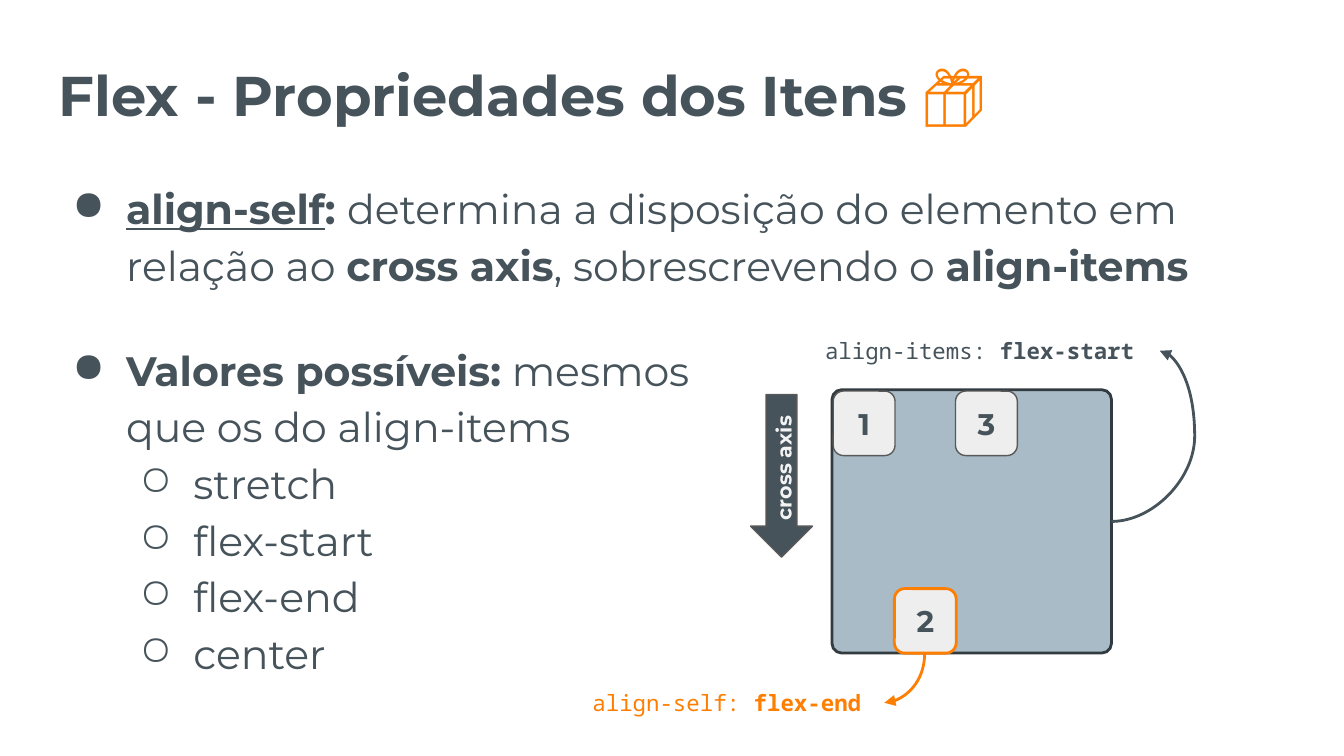
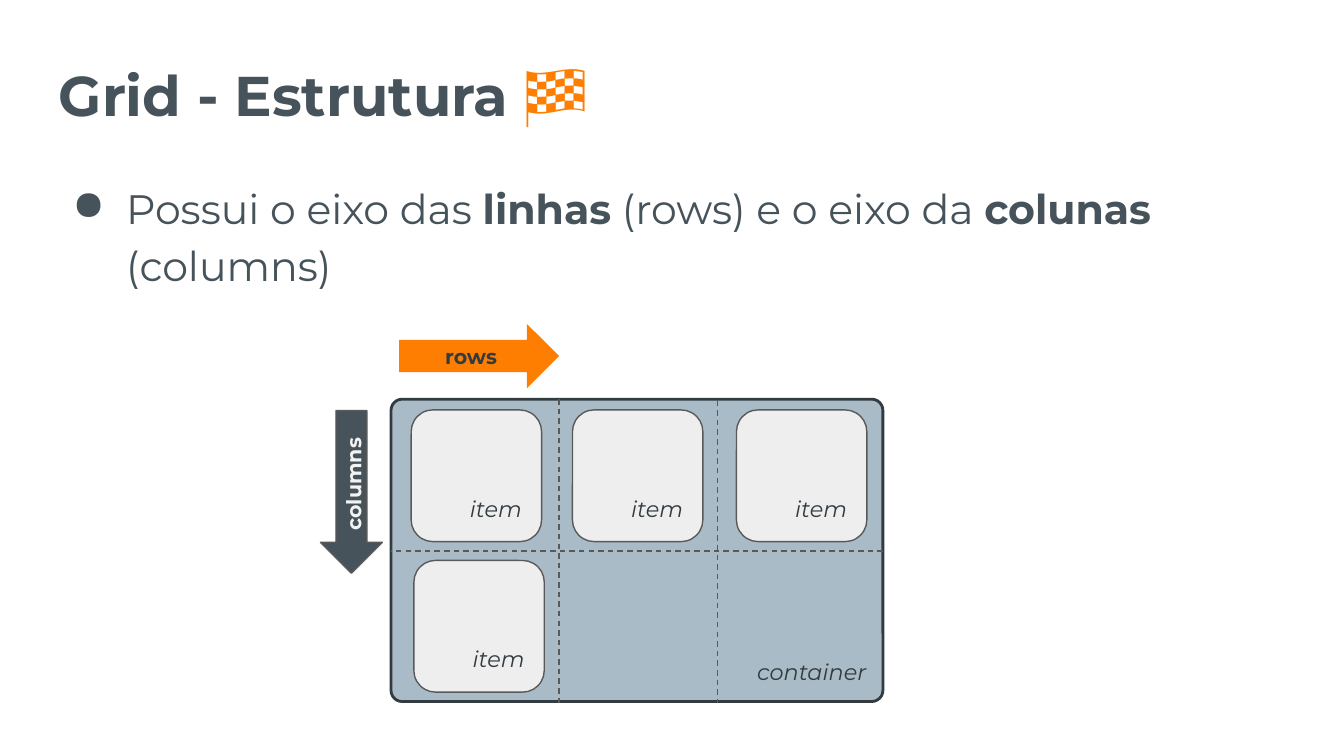
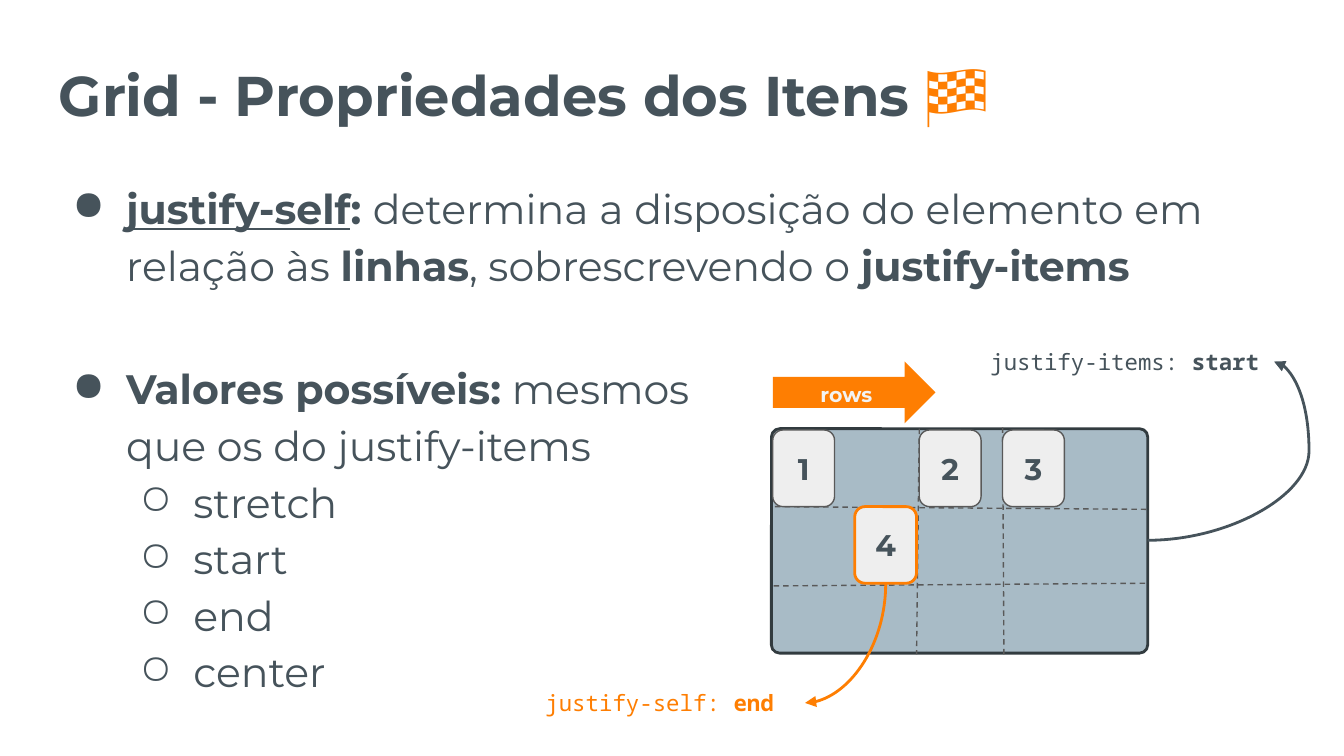
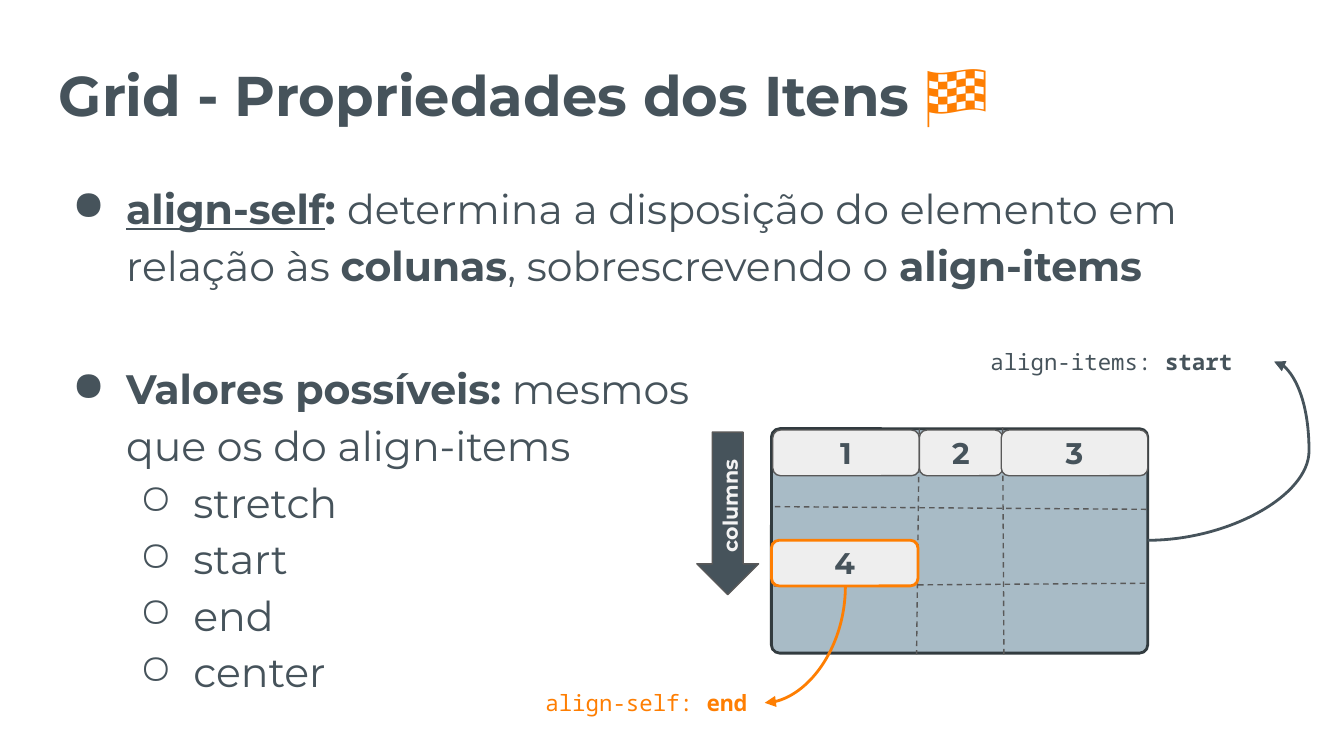
from dataclasses import dataclass
from typing import NamedTuple

from lxml import etree
from pptx import Presentation
from pptx.dml.color import RGBColor
from pptx.enum import dml, shapes, text
from pptx.oxml import ns
from pptx.util import Emu, Inches, Pt


@dataclass(frozen=True)
class Theme:
    slate: str = "46535B"
    ink: str = "323B3F"
    orange: str = "FE7E02"
    steel: str = "A8BBC6"
    light: str = "EEEEEE"
    pale: str = "F3F3F3"
    gray: str = "595959"
    sans: str = "Montserrat"
    mono: str = "Noto Sans Mono"
    icon_font: str = "Roboto"
    title_size: float = 30
    icon_size: float = 34
    body_size: float = 22
    number_size: float = 16
    label_size: float = 12
    arrow_size: float = 11
    thin: float = 0.75
    thick: float = 1.5
    leading: float = 1.15


THEME = Theme()
SLIDE_WIDTH = Inches(10)
SLIDE_HEIGHT = Inches(5.625)
COLUMNS = 100
CELL = SLIDE_WIDTH / COLUMNS
SHAPE = shapes.MSO_SHAPE
CENTER = text.PP_ALIGN.CENTER
RIGHT = text.PP_ALIGN.RIGHT
MIDDLE = text.MSO_ANCHOR.MIDDLE
BOTTOM = text.MSO_ANCHOR.BOTTOM
TOP = text.MSO_ANCHOR.TOP


class Point(NamedTuple):
    column: float
    row: float


class Area(NamedTuple):
    left: float
    top: float
    width: float
    height: float


class Span(NamedTuple):
    content: str
    bold: bool = False
    underline: bool = False


@dataclass(frozen=True)
class Bullet:
    spans: tuple
    level: int = 0
    before: float = 0


@dataclass(frozen=True)
class Item:
    label: str
    area: Area
    chosen: bool = False


def cells(*counts: float) -> list:
    return [Emu(round(count * CELL)) for count in counts]


def rgb(color: str) -> RGBColor:
    return RGBColor.from_string(color)


def add_span(para, content: str, *, size: float, color: str = THEME.slate,
             font: str = THEME.sans, bold: bool = False,
             italic: bool = False, underline: bool = False) -> None:
    for index, line in enumerate(content.split("\n")):
        if index:
            para.add_line_break()
        span = para.add_run()
        span.text = line
        span.font.size = Pt(size)
        span.font.name = font
        span.font.color.rgb = rgb(color)
        span.font.bold = bold
        span.font.italic = italic
        span.font.underline = underline


def prepare_frame(box, anchor=TOP):
    frame = box.text_frame
    frame.word_wrap = True
    frame.vertical_anchor = anchor
    frame.margin_left = frame.margin_right = Inches(0.1)
    frame.margin_top = frame.margin_bottom = Inches(0.1)
    return frame


def add_text_box(page, area: Area, anchor=TOP):
    return prepare_frame(page.shapes.add_textbox(*cells(*area)), anchor)


def add_title(page, title: str, icon: str, icon_font: str, icon_bold: bool) -> None:
    para = add_text_box(page, Area(3.4, 1.4, 85.7, 10.7), MIDDLE).paragraphs[0]
    add_span(para, title + " ", size=THEME.title_size, bold=True)
    add_span(para, icon, size=THEME.icon_size, color=THEME.orange,
             font=icon_font, bold=icon_bold)


def set_bullet(para, level: int) -> None:
    properties = para._p.get_or_add_pPr()
    properties.set("marL", str(Inches(0.5 * (level + 1))))
    properties.set("indent", str(Inches(-0.4)))
    tint = etree.SubElement(properties, ns.qn("a:buClr"))
    etree.SubElement(tint, ns.qn("a:srgbClr")).set("val", THEME.slate)
    etree.SubElement(properties, ns.qn("a:buChar")).set("char", "●○"[level])


def add_bullets(page, area: Area, bullets: list) -> None:
    frame = add_text_box(page, area)
    for index, bullet in enumerate(bullets):
        para = frame.add_paragraph() if index else frame.paragraphs[0]
        para.level = bullet.level
        para.line_spacing = THEME.leading
        para.space_before = Pt(bullet.before)
        para.space_after = Pt(0)
        set_bullet(para, bullet.level)
        for part in bullet.spans:
            add_span(para, part.content, size=THEME.body_size,
                     bold=part.bold, underline=part.underline)


def property_bullets(name: str, relation: str, axis: str, inherited: str,
                     values: list, gap: float) -> list:
    return [
        Bullet((Span(name, True, True), Span(": ", True),
                Span(f"determina a disposição do elemento em relação {relation} "),
                Span(axis, True), Span(", sobrescrevendo o "),
                Span(inherited, True))),
        Bullet((Span("Valores possíveis:", True),
                Span(f" mesmos \nque os do {inherited}")), before=gap),
        *[Bullet((Span(value),), level=1) for value in values],
    ]


def add_box(page, kind, area: Area, fill: str, line: str | None = None,
            weight: float = THEME.thin):
    box = page.shapes.add_shape(kind, *cells(*area))
    box.shadow.inherit = False
    box.fill.solid()
    box.fill.fore_color.rgb = rgb(fill)
    if line:
        box.line.color.rgb = rgb(line)
        box.line.width = Pt(weight)
    else:
        box.line.fill.background()
    return box


def add_label(box, label: str, anchor, align, **style) -> None:
    para = prepare_frame(box, anchor).paragraphs[0]
    para.alignment = align
    add_span(para, label, **style)


def add_corner_label(box, label: str) -> None:
    add_label(box, label, BOTTOM, RIGHT, size=THEME.label_size,
              color=THEME.ink, italic=True)


def add_container(page, area: Area):
    box = add_box(page, SHAPE.ROUNDED_RECTANGLE, area, THEME.steel,
                  THEME.ink, THEME.thick)
    box.adjustments[0] = 0.037
    return box


def add_items(page, items: list) -> None:
    for item in items:
        line, weight = ((THEME.orange, THEME.thick) if item.chosen
                        else (THEME.gray, THEME.thin))
        box = add_box(page, SHAPE.ROUNDED_RECTANGLE, item.area,
                      THEME.light, line, weight)
        add_label(box, item.label, MIDDLE, CENTER,
                  size=THEME.number_size, bold=True)


def add_down_arrow(page, label: str, area: Area) -> None:
    box = add_box(page, SHAPE.LEFT_ARROW, area, THEME.slate, THEME.gray)
    box.rotation = 270
    add_label(box, label, MIDDLE, CENTER, size=THEME.arrow_size,
              color=THEME.pale, bold=True)
    box.text_frame.paragraphs[0].line_spacing = THEME.leading


def add_rows_arrow(page, area: Area, color: str, spacing: float = 1) -> None:
    box = add_box(page, SHAPE.RIGHT_ARROW, area, THEME.orange)
    add_label(box, "rows", MIDDLE, CENTER, size=THEME.arrow_size,
              color=color, bold=True)
    box.text_frame.paragraphs[0].line_spacing = spacing


def add_line(page, kind, start: Point, end: Point, color: str, weight: float):
    line = page.shapes.add_connector(kind, *cells(*start, *end))
    line.line.color.rgb = rgb(color)
    line.line.width = Pt(weight)
    return line


def drop_shadow(line) -> None:
    etree.SubElement(line._element.spPr, ns.qn("a:effectLst"))


def add_dashes(page, segments: list) -> None:
    for start, end in segments:
        line = add_line(page, shapes.MSO_CONNECTOR.STRAIGHT, start, end,
                        THEME.gray, THEME.thin)
        line.line.dash_style = dml.MSO_LINE.DASH
        drop_shadow(line)


def add_curve(page, corner: Point, opposite: Point, color: str, preset: str,
              degrees: int):
    curve = add_line(page, shapes.MSO_CONNECTOR.CURVE, corner, opposite,
                     color, THEME.thick)
    tip = etree.SubElement(curve.line._get_or_add_ln(), ns.qn("a:tailEnd"))
    tip.set("type", "triangle")
    drop_shadow(curve)
    properties = curve._element.spPr
    properties.find(ns.qn("a:prstGeom")).set("prst", preset)
    properties.find(ns.qn("a:xfrm")).set("rot", str(degrees * 60000))
    return curve


def add_quarter_curve(page, start: Point, end: Point) -> None:
    middle = Point((start.column + end.column) / 2, (start.row + end.row) / 2)
    half_width = (end.row - start.row) / 2
    half_height = (start.column - end.column) / 2
    add_curve(page, Point(middle.column - half_width, middle.row - half_height),
              Point(middle.column + half_width, middle.row + half_height),
              THEME.orange, "curvedConnector2", 90)


def add_loop_curve(page, start: Point, end: Point, bulge: float) -> None:
    curve = add_curve(page, Point(start.column, end.row),
                      Point(end.column, start.row),
                      THEME.slate, "curvedConnector3", 180)
    properties = curve._element.spPr
    properties.find(ns.qn("a:xfrm")).set("flipH", "1")
    geometry = properties.find(ns.qn("a:prstGeom"))
    guides = geometry.find(ns.qn("a:avLst"))
    if guides is None:
        guides = etree.SubElement(geometry, ns.qn("a:avLst"))
    share = (bulge - start.column) / (end.column - start.column)
    guide = etree.SubElement(guides, ns.qn("a:gd"))
    guide.set("name", "adj1")
    guide.set("fmla", f"val {round(share * 100000)}")


def add_code(page, name: str, value: str, area: Area, color: str) -> None:
    para = add_text_box(page, area).paragraphs[0]
    style = dict(size=THEME.label_size, font=THEME.mono, color=color)
    add_span(para, f"{name}: ", **style)
    add_span(para, value, bold=True, **style)


def add_grid_title(page, title: str) -> None:
    add_title(page, title, "🏁", THEME.sans, True)


def build_flex_align_self(page) -> None:
    add_bullets(page, Area(3.4, 12.1, 89.2, 39.8), property_bullets(
        "align-self", "ao", "cross axis", "align-items",
        ["stretch", "flex-start", "flex-end", "center"], 26))
    add_title(page, "Flex - Propriedades dos Itens", "📦", THEME.icon_font, False)
    add_container(page, Area(61.9, 29, 20.8, 19.6))
    add_items(page, [
        Item(str(number + 1),
             Area(62 + 4.55 * number, 43.8 if number == 1 else 29.1, 4.6, 4.8),
             number == 1)
        for number in range(3)])
    add_code(page, "align-items", "flex-start", Area(60.4, 24.1, 25.9, 4), THEME.slate)
    add_code(page, "align-self", "flex-end", Area(43.1, 50.3, 22.7, 4), THEME.orange)
    add_quarter_curve(page, Point(68.8, 48.6), Point(65.8, 52.3))
    add_loop_curve(page, Point(82.7, 38.8), Point(86.3, 26.1), 88.9)
    add_down_arrow(page, "cross axis", Area(52.1, 33.1, 12.1, 4.6))


def build_grid_structure(page) -> None:
    add_bullets(page, Area(3.4, 12.1, 89.2, 8.4), [Bullet((
        Span("Possui o eixo das "), Span("linhas", True),
        Span(" (rows) e o eixo da "), Span("colunas", True),
        Span(" (columns)")))])
    add_grid_title(page, "Grid - Estrutura")
    add_corner_label(add_container(page, Area(29.1, 29.7, 36.6, 22.5)), "container")
    add_dashes(page, [
        (Point(41.6, 29.7), Point(41.6, 52.4)),
        (Point(53.4, 29.8), Point(53.4, 52.3)),
        (Point(65.7, 41), Point(29.1, 41))])
    add_rows_arrow(page, Area(29.7, 24.1, 11.9, 4.8), THEME.ink)
    add_down_arrow(page, "columns", Area(20.1, 34.3, 12.1, 4.6))
    for left, top in [(30.6, 30.5), (42.6, 30.5), (54.8, 30.5), (30.8, 41.7)]:
        box = add_box(page, SHAPE.ROUNDED_RECTANGLE, Area(left, top, 9.7, 9.8),
                      THEME.light, THEME.gray)
        add_corner_label(box, "item")


def build_grid_property(page, name: str, axis: str, inherited: str) -> None:
    add_bullets(page, Area(3.4, 12.1, 90.2, 39.8), property_bullets(
        name, "às", axis, inherited, ["stretch", "start", "end", "center"], 36))
    add_grid_title(page, "Grid - Propriedades dos Itens")
    add_container(page, Area(57.4, 31.9, 28, 16.7))
    add_dashes(page, [
        (Point(68.4, 31.9), Point(68.2, 48.7)),
        (Point(74.6, 31.8), Point(74.7, 48.7)),
        (Point(85.3, 37.9), Point(57.4, 37.7)),
        (Point(85.2, 43.4), Point(57.4, 43.6))])
    add_code(page, inherited, "start", Area(72.7, 24.9, 22.1, 4), THEME.slate)
    add_loop_curve(page, Point(85.4, 40.2), Point(94.8, 26.9), 97.4)


def build_grid_justify_self(page) -> None:
    build_grid_property(page, "justify-self", "linhas", "justify-items")
    add_rows_arrow(page, Area(57.5, 26.9, 12.1, 4.6), THEME.pale, THEME.leading)
    corners = [(57.5, 32), (68.4, 32), (74.6, 32), (63.6, 37.7)]
    add_items(page, [Item(str(number), Area(left, top, 4.6, 5.7), number == 4)
                     for number, (left, top) in enumerate(corners, 1)])
    add_code(page, "justify-self", "end", Area(39.6, 50.3, 20.3, 4), THEME.orange)
    add_quarter_curve(page, Point(65.9, 43.4), Point(59.9, 52.3))


def build_grid_align_self(page) -> None:
    build_grid_property(page, "align-self", "colunas", "align-items")
    places = [(57.5, 32, 10.9), (68.4, 32, 6.2), (74.5, 32, 10.9), (57.4, 40.2, 10.9)]
    add_items(page, [Item(str(number), Area(left, top, width, 3.4), number == 4)
                     for number, (left, top, width) in enumerate(places, 1)])
    add_code(page, "align-self", "end", Area(39.6, 50.3, 17.3, 4), THEME.orange)
    add_quarter_curve(page, Point(62.9, 43.6), Point(56.9, 52.3))
    add_down_arrow(page, "columns", Area(48.1, 35.9, 12.1, 4.6))


def main() -> None:
    deck = Presentation()
    deck.slide_width = SLIDE_WIDTH
    deck.slide_height = SLIDE_HEIGHT
    for build in (build_flex_align_self, build_grid_structure,
                  build_grid_justify_self, build_grid_align_self):
        build(deck.slides.add_slide(deck.slide_layouts[6]))
    deck.save("out.pptx")


if __name__ == "__main__":
    main()
